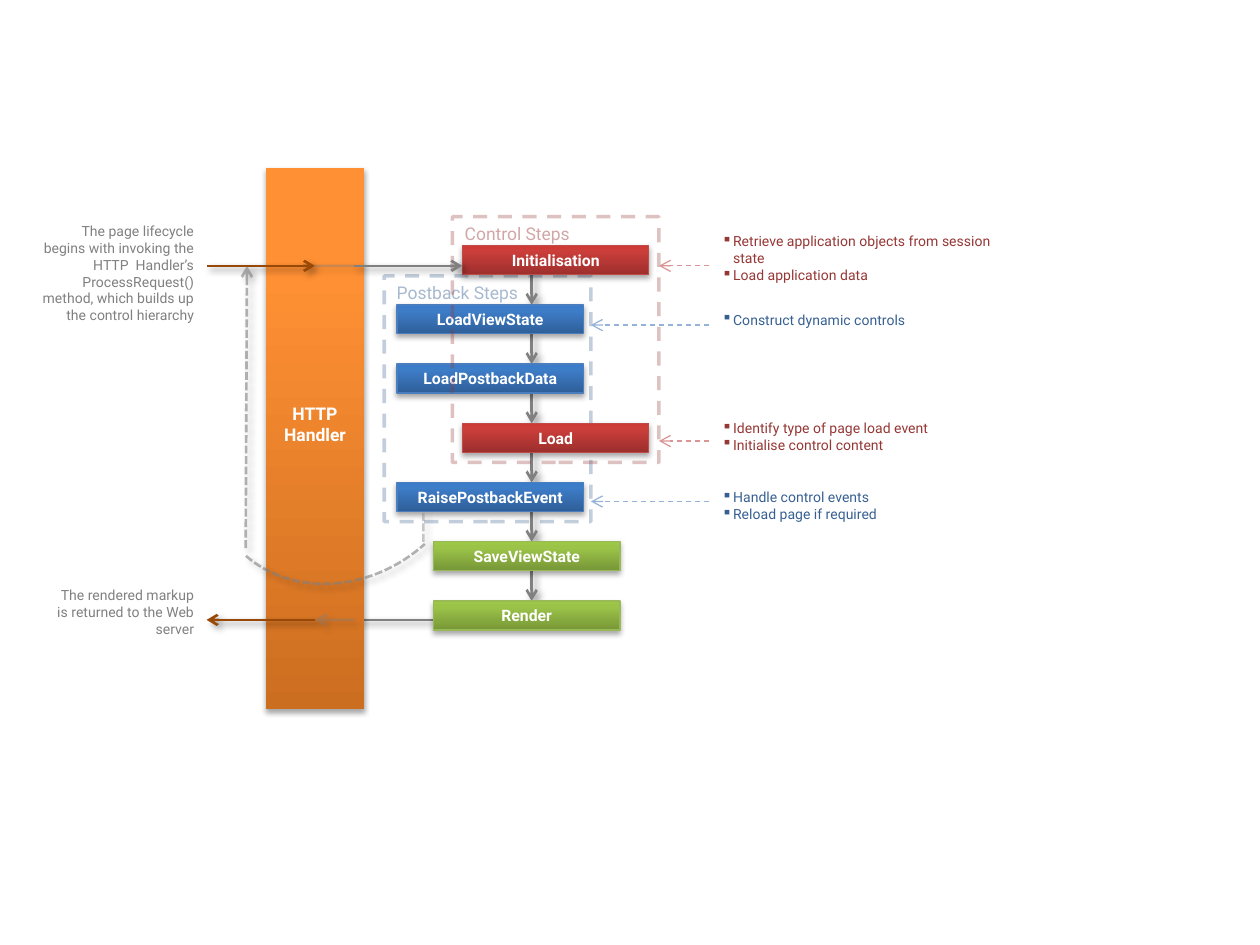
from lxml import etree
from pptx import Presentation
from pptx import util as u
from pptx.dml.color import RGBColor
from pptx.enum import dml, shapes, text
from pptx.oxml.ns import qn

PX = 9144  # EMU in one px, 100 px to the inch
FONT = "Roboto"
GREY, BROWN = "808080", "984807"
RED, BLUE = "953735", "376092"
PINK, SKY = "D99694", "95B3D7"
DASH, DOTS = dml.MSO_LINE.DASH, dml.MSO_LINE.SQUARE_DOT
LEFT, MID, RIGHT = text.PP_ALIGN.LEFT, text.PP_ALIGN.CENTER, text.PP_ALIGN.RIGHT

# Gradient from bottom to top, then the outline
FILLS = {
    "red": (("9C2F2D", "CB3E3A", "CE3B37"), "BF4C48"),
    "blue": (("2F5F99", "3D7CC7", "3A7CCB"), "4B7EBC"),
    "green": (("779737", "9BC348", "9DC746"), "98B955"),
    "orange": (("CC6E20", "FF9034", "FF9136"), None),
}
STEPS = [
    ("Initialisation", 367, "red"),
    ("LoadViewState", 315, "blue"),
    ("LoadPostbackData", 315, "blue"),
    ("Load", 367, "red"),
    ("RaisePostbackEvent", 315, "blue"),
    ("SaveViewState", 344, "green"),
    ("Render", 344, "green"),
]
TOP, PITCH, WIDE, HIGH = 195, 47, 148, 23
# Arrow y, arrow end x, arrow colour, text top, text height, text colour, items
NOTES = [
    (211, 523, PINK, 180, 50, RED,
     ["Retrieve application objects from session state", "Load application data"]),
    (258, 469, SKY, 242, 24, BLUE, ["Construct dynamic controls"]),
    (350, 523, PINK, 328, 37, RED,
     ["Identify type of page load event", "Initialise control content"]),
    (398, 469, SKY, 383, 37, BLUE,
     ["Handle control events", "Reload page if required"]),
]
SOFT = (4, 3, 45, 40)  # blur, distance, angle, opacity
DROP = (3.1, 1.8, 90, 35)


def rgb(code):
    return RGBColor.from_string(code)


def sub(node, tag, **attrs):
    return etree.SubElement(node, qn(tag), {k: str(v) for k, v in attrs.items()})


def fade(node, part):
    """Give the colour inside node an opacity in percent."""
    if part < 100:
        sub(node.find(".//" + qn("a:srgbClr")), "a:alpha", val=part * 1000)


def shade(item, cast=None):
    """Replace the theme shadow; call it after fill and line are set."""
    box = sub(item._element.spPr, "a:effectLst")
    if cast:
        blur, dist, angle, part = cast
        drop = sub(box, "a:outerShdw", blurRad=u.Pt(blur), dist=u.Pt(dist),
                   dir=angle * 60000, algn="ctr", rotWithShape=0)
        tint = sub(drop, "a:srgbClr", val="000000")
        sub(tint, "a:alpha", val=part * 1000)


def stroke(item, color, size, dash=None, part=100, head=False, tail=False):
    line = item.line
    line.color.rgb = rgb(color)
    line.width = u.Pt(size)
    if dash:
        line.dash_style = dash
    node = item._element.spPr.find(qn("a:ln"))
    fade(node, part)
    for tag, used in (("a:headEnd", head), ("a:tailEnd", tail)):
        if used:
            sub(node, tag, type="arrow")


def link(slide, start, end, color=GREY, size=1.5, cast=SOFT, **look):
    ends = [v * PX for v in start + end]
    item = slide.shapes.add_connector(shapes.MSO_CONNECTOR.STRAIGHT, *ends)
    stroke(item, color, size, **look)
    shade(item, cast)


def form(slide, kind, *place):
    return slide.shapes.add_shape(kind, *[v * PX for v in place])


def block(slide, place, name):
    """Add a rectangle with a vertical gradient."""
    tints, edge = FILLS[name]
    item = form(slide, shapes.MSO_SHAPE.RECTANGLE, *place)
    item.fill.gradient()
    item.fill.gradient_angle = 90
    stops = item._element.spPr.find(".//" + qn("a:gsLst"))
    for stop in list(stops):
        stops.remove(stop)
    for spot, tint in zip((0, 80, 100), tints):
        sub(sub(stops, "a:gs", pos=spot * 1000), "a:srgbClr", val=tint)
    if edge:
        stroke(item, edge, 0.75)
    else:
        item.line.fill.background()
    shade(item, DROP)
    return item


def frame(slide, place, color):
    item = form(slide, shapes.MSO_SHAPE.RECTANGLE, *place)
    item.fill.background()
    stroke(item, color, 2, DASH, 29)
    shade(item)


def write(body, lines, size, color, align=LEFT, bold=False, part=100, bullet=False):
    body.word_wrap = True
    for i, words in enumerate(lines):
        para = body.add_paragraph() if i else body.paragraphs[0]
        para.alignment = align
        if bullet:
            props = para._p.get_or_add_pPr()
            props.set("marL", str(9 * PX))
            props.set("indent", str(-9 * PX))
            sub(props, "a:buChar", char="▪")
        run = para.add_run()
        run.text = words
        font = run.font
        font.name, font.size, font.bold = FONT, u.Pt(size), bold
        font.color.rgb = rgb(color)
        fade(run._r, part)


def label(slide, place, lines, size, color, **look):
    body = slide.shapes.add_textbox(*[v * PX for v in place]).text_frame
    write(body, lines, size, color, **look)
    body.auto_size = text.MSO_AUTO_SIZE.SHAPE_TO_FIT_TEXT


def step(slide, row, words, left, name):
    item = block(slide, (left, TOP + row * PITCH, WIDE, HIGH), name)
    body = item.text_frame
    body.vertical_anchor = text.MSO_ANCHOR.MIDDLE
    write(body, [words], 9, "FFFFFF", align=MID, bold=True)


def note(slide, y, end, tint, top, high, color, items):
    link(slide, (563, y), (end, y), tint, 0.75, None, dash=DASH, tail=True)
    label(slide, (563, top, 242, high), items, 8, color, bullet=True)


def loop(slide):
    """Draw the dashed way back from the postback event to the start."""
    link(slide, (195, 435), (196, 211), dash=DOTS, part=60, tail=True)
    link(slide, (336, 430), (336, 406), dash=DOTS, part=42)
    arc = form(slide, shapes.MSO_SHAPE.ARC, 175, 252, 192, 220)
    arc.adjustments[0], arc.adjustments[1] = 167.391, 3.742
    arc.rotation = 52.7
    arc._element.spPr.xfrm.set("flipV", "1")
    arc.fill.background()
    stroke(arc, GREY, 1.5, DOTS, 60)
    shade(arc, SOFT)


def main():
    deck = Presentation()
    deck.slide_width, deck.slide_height = 1000 * PX, 750 * PX
    slide = deck.slides.add_slide(deck.slide_layouts[6])

    for row in range(len(STEPS) - 1):
        y = TOP + row * PITCH
        link(slide, (422, y + HIGH), (422, y + PITCH), tail=True)
    link(slide, (344, 492), (281, 492))
    block(slide, (211, 133, 78, 430), "orange")
    label(slide, (211, 315, 78, 44), ["HTTP", "Handler"], 10, "FFFFFF",
          align=MID, bold=True)
    link(slide, (250, 211), (281, 211), part=37)
    label(slide, (305, 219, 125, 27), ["Postback Steps"], 10, BLUE, part=44)
    frame(slide, (305, 219, 164, 195), "3A5F8C")
    link(slide, (250, 492), (164, 492), BROWN, tail=True)
    for row, data in enumerate(STEPS):
        step(slide, row, *data)
    link(slide, (164, 211), (250, 211), BROWN, tail=True)
    frame(slide, (359, 172, 164, 195), RED)
    label(slide, (359, 172, 133, 27), ["Control Steps"], 10, RED, part=44)
    link(slide, (281, 211), (367, 211), tail=True)
    label(slide, (23, 172, 141, 91),
          ["The page lifecycle begins with invoking the HTTP  Handler’s "
           "ProcessRequest() method, which builds up the control hierarchy"],
          8, GREY, align=RIGHT)
    label(slide, (31, 461, 133, 50),
          ["The rendered markup is returned to the Web server"],
          8, GREY, align=RIGHT)
    for data in NOTES:
        note(slide, *data)
    link(slide, (250, 492), (281, 492), part=37, head=True)
    loop(slide)
    deck.save("out.pptx")


if __name__ == "__main__":
    main()
